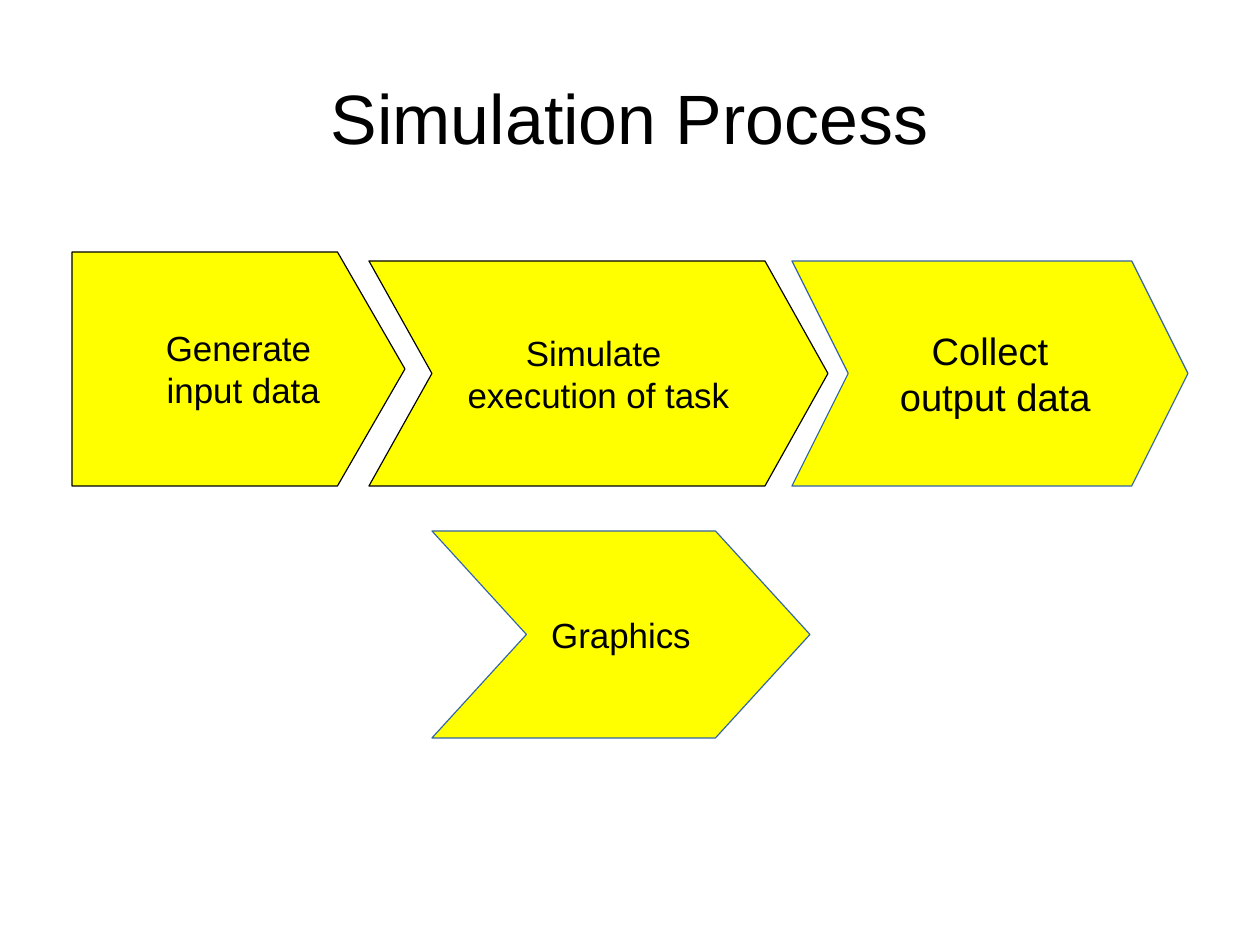
from pptx import Presentation
from pptx.dml.color import RGBColor
from pptx.enum.shapes import MSO_SHAPE as Preset
from pptx.enum.text import MSO_ANCHOR as Anchor, PP_ALIGN as Align
from pptx.util import Cm, Pt

COLORS = {"text": "000000", "step": "FFFF00", "edge": "000000", "late_edge": "3465A4"}
TITLE_FRAME = {"margin_left": 0, "margin_right": 0, "margin_top": 0, "margin_bottom": 0,
               "vertical_anchor": Anchor.MIDDLE, "word_wrap": True}
STEP_FRAME = {"margin_left": Cm(0.25), "margin_right": Cm(0.25), "margin_top": Cm(0.13),
              "margin_bottom": Cm(0.13), "vertical_anchor": Anchor.MIDDLE, "word_wrap": False}

STEPS = [
    (Preset.PENTAGON, (1.6, 5.6, 7.4, 5.2), 1.5, "edge", 22, ["Generate", " input data"]),
    (Preset.CHEVRON, (8.2, 5.8, 10.2, 5), 1.4, "edge", 22, ["Simulate ", "execution of task"]),
    (Preset.CHEVRON, (17.6, 5.8, 8.8, 5), 1.25, "late_edge", 24, ["Collect", " output data"]),
    (Preset.CHEVRON, (9.6, 11.8, 8.4, 4.6), 2.1, "late_edge", 22, ["Graphics"]),
]


def color(name):
    return RGBColor.from_string(COLORS[name])


def apply(target, values):
    for name, value in values.items():
        setattr(target, name, value)


def write(frame, lines, size, layout):
    apply(frame, layout)
    for index, line in enumerate(lines):
        paragraph = frame.add_paragraph() if index else frame.paragraphs[0]
        paragraph.alignment = Align.CENTER
        words = paragraph.add_run()
        words.text = line
        apply(words.font, {"name": "Arial", "size": Pt(size)})
        words.font.color.rgb = color("text")


def add_title(slide, box, heading):
    title = slide.shapes.add_textbox(*map(Cm, box))
    write(title.text_frame, [heading], 44, TITLE_FRAME)


def add_step(slide, preset, box, tip, edge, size, lines):
    step = slide.shapes.add_shape(preset, *map(Cm, box))
    step.adjustments[0] = tip / min(box[2:])
    step.shadow.inherit = False
    step.fill.solid()
    step.fill.fore_color.rgb = color("step")
    step.line.color.rgb = color(edge)
    step.line.width = Pt(0)
    write(step.text_frame, lines, size, STEP_FRAME)
    if preset == Preset.PENTAGON:
        step.text_frame.margin_left += Cm(tip / 2)


def main():
    deck = Presentation()
    apply(deck, {"slide_width": Cm(28), "slide_height": Cm(21)})
    slide = deck.slides.add_slide(deck.slide_layouts[6])
    add_title(slide, (1.4, 0.84, 25.2, 3.5), "Simulation Process")
    for step in STEPS:
        add_step(slide, *step)
    deck.save("out.pptx")


if __name__ == "__main__":
    main()
